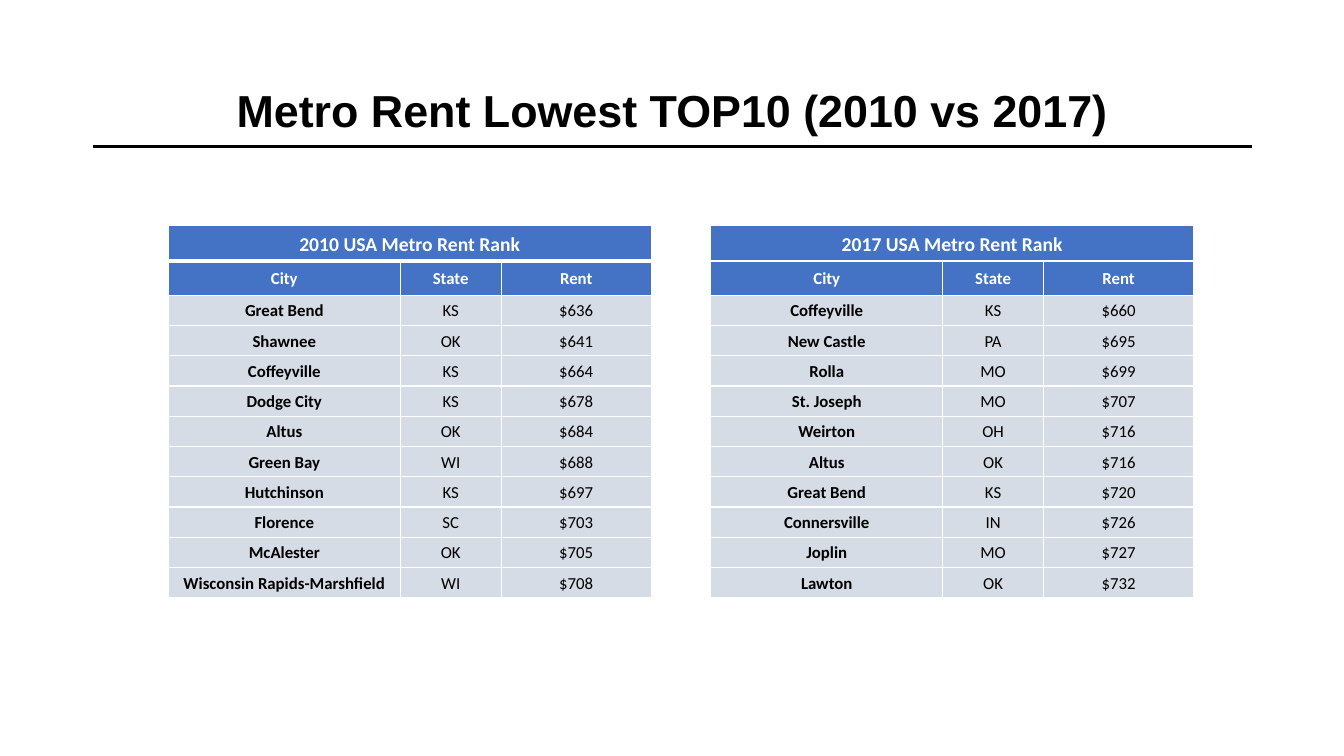
from lxml import etree
from pptx import Presentation
from pptx.dml.color import RGBColor
from pptx.enum.shapes import MSO_CONNECTOR
from pptx.enum.text import MSO_ANCHOR, PP_ALIGN
from pptx.oxml.ns import qn
from pptx.util import Inches, Pt

CENTER = PP_ALIGN.CENTER
MIDDLE = MSO_ANCHOR.MIDDLE
STRAIGHT = MSO_CONNECTOR.STRAIGHT

COLORS = {"ink": "000000", "paper": "FFFFFF", "header": "4472C4", "body": "D6DCE5"}

COLUMN_NAMES = ("City", "State", "Rent")
COLUMN_WIDTHS = (2.3, 1, 1.49)
TITLE_ROW, NAMES_ROW, CITY_ROW = 0.35, 0.34, 0.3
TABLE_TOP = 2.24
CELL_MARGIN = 0.03

RENTS_2010 = [
    ("Great Bend", "KS", 636),
    ("Shawnee", "OK", 641),
    ("Coffeyville", "KS", 664),
    ("Dodge City", "KS", 678),
    ("Altus", "OK", 684),
    ("Green Bay", "WI", 688),
    ("Hutchinson", "KS", 697),
    ("Florence", "SC", 703),
    ("McAlester", "OK", 705),
    ("Wisconsin Rapids-Marshfield", "WI", 708),
]
RENTS_2017 = [
    ("Coffeyville", "KS", 660),
    ("New Castle", "PA", 695),
    ("Rolla", "MO", 699),
    ("St. Joseph", "MO", 707),
    ("Weirton", "OH", 716),
    ("Altus", "OK", 716),
    ("Great Bend", "KS", 720),
    ("Connersville", "IN", 726),
    ("Joplin", "MO", 727),
    ("Lawton", "OK", 732),
]


def rgb(color):
    return RGBColor.from_string(COLORS[color])


def write(frame, text, font="Calibri", size=12, color="ink", bold=False, spacing=1.07):
    paragraph = frame.paragraphs[0]
    paragraph.alignment = CENTER
    paragraph.line_spacing = spacing
    run = paragraph.add_run()
    run.text = text
    run.font.name = font
    run.font.size = Pt(size)
    run.font.bold = bold
    run.font.color.rgb = rgb(color)


def add_title(slide, text):
    title = slide.shapes.add_textbox(Inches(0.92), Inches(0.4), Inches(11.5), Inches(1.45))
    frame = title.text_frame
    frame.word_wrap = True
    frame.vertical_anchor = MIDDLE
    write(frame, text, font="Arial", size=32, bold=True, spacing=0.9)


def add_rule(slide):
    rule = slide.shapes.add_connector(
        STRAIGHT, Inches(0.92), Inches(1.45), Inches(12.42), Inches(1.45))
    rule.line.color.rgb = rgb("ink")
    rule.line.width = Pt(2.25)
    etree.SubElement(rule._element.spPr, qn("a:effectLst"))


def set_borders(cell, top=1, bottom=1):
    # Border elements come before the fill in the cell properties
    properties = cell._tc.get_or_add_tcPr()
    widths = {"a:lnL": 1, "a:lnR": 1, "a:lnT": top, "a:lnB": bottom}
    for position, (side, width) in enumerate(widths.items()):
        border = etree.Element(qn(side), w=str(Pt(width)))
        fill = etree.SubElement(border, qn("a:solidFill"))
        etree.SubElement(fill, qn("a:srgbClr"), val=COLORS["paper"])
        properties.insert(position, border)


def style_cell(cell, fill, **borders):
    cell.margin_left = cell.margin_right = Inches(CELL_MARGIN)
    cell.margin_top = cell.margin_bottom = Inches(CELL_MARGIN)
    cell.vertical_anchor = MIDDLE
    cell.fill.solid()
    cell.fill.fore_color.rgb = rgb(fill)
    set_borders(cell, **borders)


def add_rent_table(slide, left, year, rents, title_border):
    heights = [TITLE_ROW, NAMES_ROW] + [CITY_ROW] * len(rents)
    table = slide.shapes.add_table(
        len(heights), len(COLUMN_WIDTHS), Inches(left), Inches(TABLE_TOP),
        Inches(sum(COLUMN_WIDTHS)), Inches(sum(heights))).table
    for column, width in zip(table.columns, COLUMN_WIDTHS):
        column.width = Inches(width)
    for row, height in zip(table.rows, heights):
        row.height = Inches(height)

    # Title and column names
    for index, name in enumerate(COLUMN_NAMES):
        style_cell(table.cell(0, index), "header", bottom=title_border)
        name_cell = table.cell(1, index)
        style_cell(name_cell, "header", top=title_border)
        write(name_cell.text_frame, name, color="paper", bold=True)
    title_cell = table.cell(0, 0)
    title_cell.merge(table.cell(0, len(COLUMN_NAMES) - 1))
    write(title_cell.text_frame, f"{year} USA Metro Rent Rank",
          size=14, color="paper", bold=True)

    # Cities from the lowest rent up
    for row, (city, state, rent) in enumerate(rents, start=2):
        for column, text in enumerate((city, state, f"${rent}")):
            cell = table.cell(row, column)
            style_cell(cell, "body")
            write(cell.text_frame, text, bold=column == 0)


def main():
    deck = Presentation()
    deck.slide_width, deck.slide_height = Inches(13.33), Inches(7.5)
    slide = deck.slides.add_slide(deck.slide_layouts[6])

    # Heading
    add_rule(slide)
    add_title(slide, "Metro Rent Lowest TOP10 (2010 vs 2017)")

    # Rankings side by side
    add_rent_table(slide, 1.67, 2010, RENTS_2010, title_border=3)
    add_rent_table(slide, 7.05, 2017, RENTS_2017, title_border=1)

    deck.save("out.pptx")


if __name__ == "__main__":
    main()
